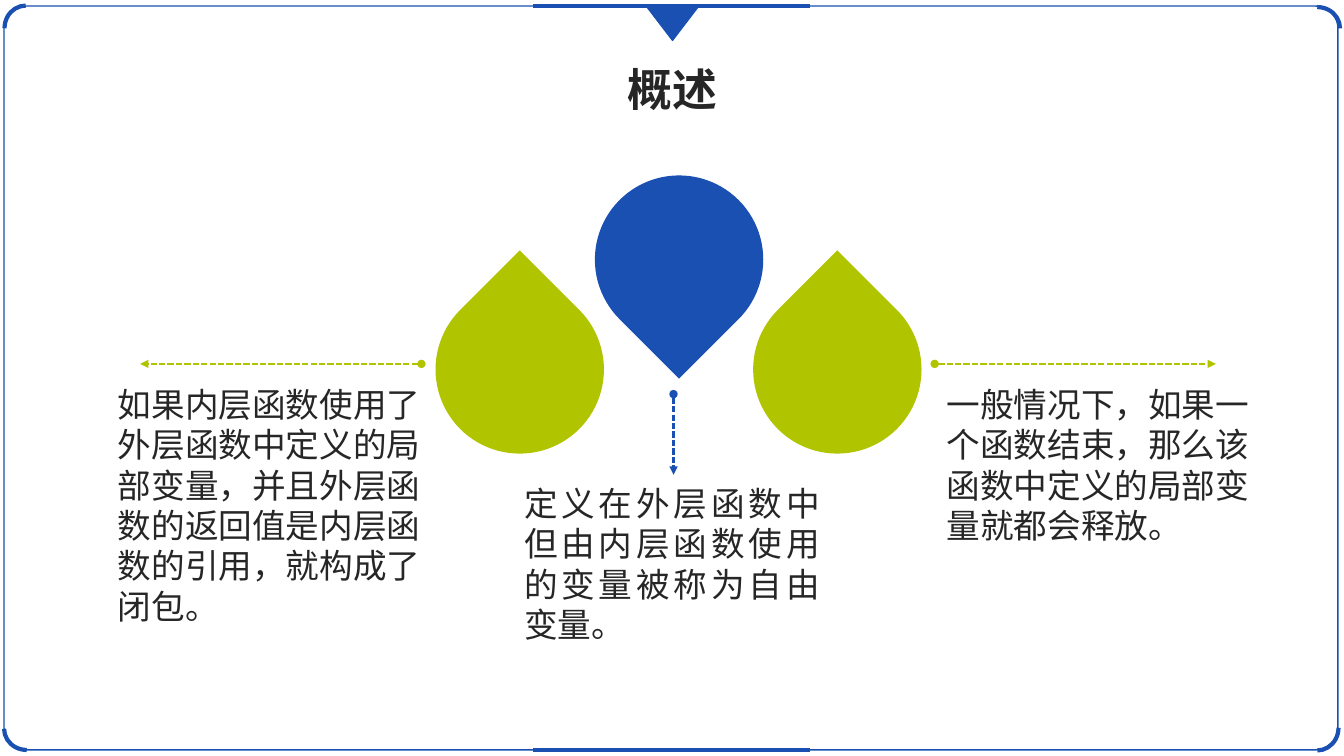
import pptx
import pptx.util
import pptx.dml.color
import pptx.enum.dml
import pptx.enum.shapes
import pptx.enum.text
import pptx.oxml.ns
from lxml import etree

Inches = pptx.util.Inches
Pt = pptx.util.Pt
SHAPES = pptx.enum.shapes.MSO_SHAPE
ALIGN = pptx.enum.text.PP_ALIGN

BLUE, GREEN, INK = "1950B2", "B1C400", "262626"
FONT = "Noto Sans CJK SC"
SLIDE_WIDTH, SLIDE_HEIGHT = 13.33, 7.5
DROP = 1.67

TITLE = "概述"
POINTS = [
    {
        "text": "如果内层函数使用了外层函数中定义的局部变量，并且外层函数的返回值是内层函数的引用，就构成了闭包。",
        "box": (1.07, 3.76, 3.28, 2.52), "align": ALIGN.LEFT, "color": GREEN,
        "drop": (4.32, 2.83), "turn": 315, "arrow": (4.18, 3.61, 1.39, 3.61),
    },
    {
        "text": "定义在外层函数中但由内层函数使用的变量被称为自由变量。",
        "box": (5.1, 4.74, 3.13, 1.72), "align": ALIGN.JUSTIFY, "color": BLUE,
        "drop": (5.9, 1.74), "turn": 135, "arrow": (6.68, 3.91, 6.68, 4.71),
    },
    {
        "text": "一般情况下，如果一个函数结束，那么该函数中定义的局部变量就都会释放。",
        "box": (9.29, 3.76, 3.28, 1.72), "align": ALIGN.LEFT, "color": GREEN,
        "drop": (7.47, 2.83), "turn": 315, "arrow": (9.27, 3.61, 12.06, 3.61),
    },
]
CORNERS = [(0.03, 0.07, 270), (12.84, 0.07, 0), (12.84, 7.01, 90), (0.04, 7.02, 180)]
EDGES = (0.06, 7.44)


def rgb(value):
    return pptx.dml.color.RGBColor.from_string(value)


def add_child(parent, tag, **attributes):
    return etree.SubElement(parent, pptx.oxml.ns.qn(tag), **attributes)


def add_figure(kind, box, fill=None, line=None, width=1, turn=0):
    figure = slide.shapes.add_shape(kind, *map(Inches, box))
    figure.shadow.inherit = False
    figure.rotation = turn
    if fill:
        figure.fill.solid()
        figure.fill.fore_color.rgb = rgb(fill)
    else:
        figure.fill.background()
    if line:
        figure.line.color.rgb = rgb(line)
        figure.line.width = Pt(width)
    else:
        figure.line.fill.background()
    return figure


def add_line(ends, color, width, arrow=False):
    rule = slide.shapes.add_connector(
        pptx.enum.shapes.MSO_CONNECTOR.STRAIGHT, *map(Inches, ends))
    rule.line.color.rgb = rgb(color)
    rule.line.width = Pt(width)
    if arrow:
        rule.line.dash_style = pptx.enum.dml.MSO_LINE.SQUARE_DOT
        stroke = rule.line._get_or_add_ln()
        add_child(stroke, "a:headEnd", type="oval")
        add_child(stroke, "a:tailEnd", type="triangle")
    add_child(rule._element.spPr, "a:effectLst")


def add_text(text, box, size=24, bold=False, align=ALIGN.LEFT, wrap=True):
    frame = slide.shapes.add_textbox(*map(Inches, box)).text_frame
    frame.word_wrap = wrap
    paragraph = frame.paragraphs[0]
    paragraph.alignment = align
    paragraph.line_spacing = Pt(size * 1.2)
    run = paragraph.add_run()
    run.text = text
    run.font.size = Pt(size)
    run.font.bold = bold
    run.font.color.rgb = rgb(INK)
    run.font.name = FONT
    add_child(run.font._element, "a:ea", typeface=FONT)


deck = pptx.Presentation()
deck.slide_width = Inches(SLIDE_WIDTH)
deck.slide_height = Inches(SLIDE_HEIGHT)
slide = deck.slides.add_slide(deck.slide_layouts[6])

border = add_figure(SHAPES.ROUNDED_RECTANGLE, (0.04, 0.06, 13.23, 7.38), line=BLUE)
border.adjustments[0] = 0.03
for left, top, turn in CORNERS:
    add_figure(SHAPES.ARC, (left, top, 0.45, 0.42), line=BLUE, width=3, turn=turn)
for edge in EDGES:
    add_line((5.29, edge, 8.03, edge), BLUE, 3)
add_figure(SHAPES.ISOSCELES_TRIANGLE, (6.41, 0.06, 0.52, 0.34),
           fill=BLUE, line=BLUE, turn=180)

add_text(TITLE, (6.12, 0.56, 1.1, 0.64), size=32, bold=True,
         align=ALIGN.CENTER, wrap=False)
for point in POINTS:
    add_figure(SHAPES.TEAR, (*point["drop"], DROP, DROP),
               fill=point["color"], turn=point["turn"])
    add_line(point["arrow"], point["color"], 1.5, arrow=True)
    add_text(point["text"], point["box"], align=point["align"])

deck.save("out.pptx")
